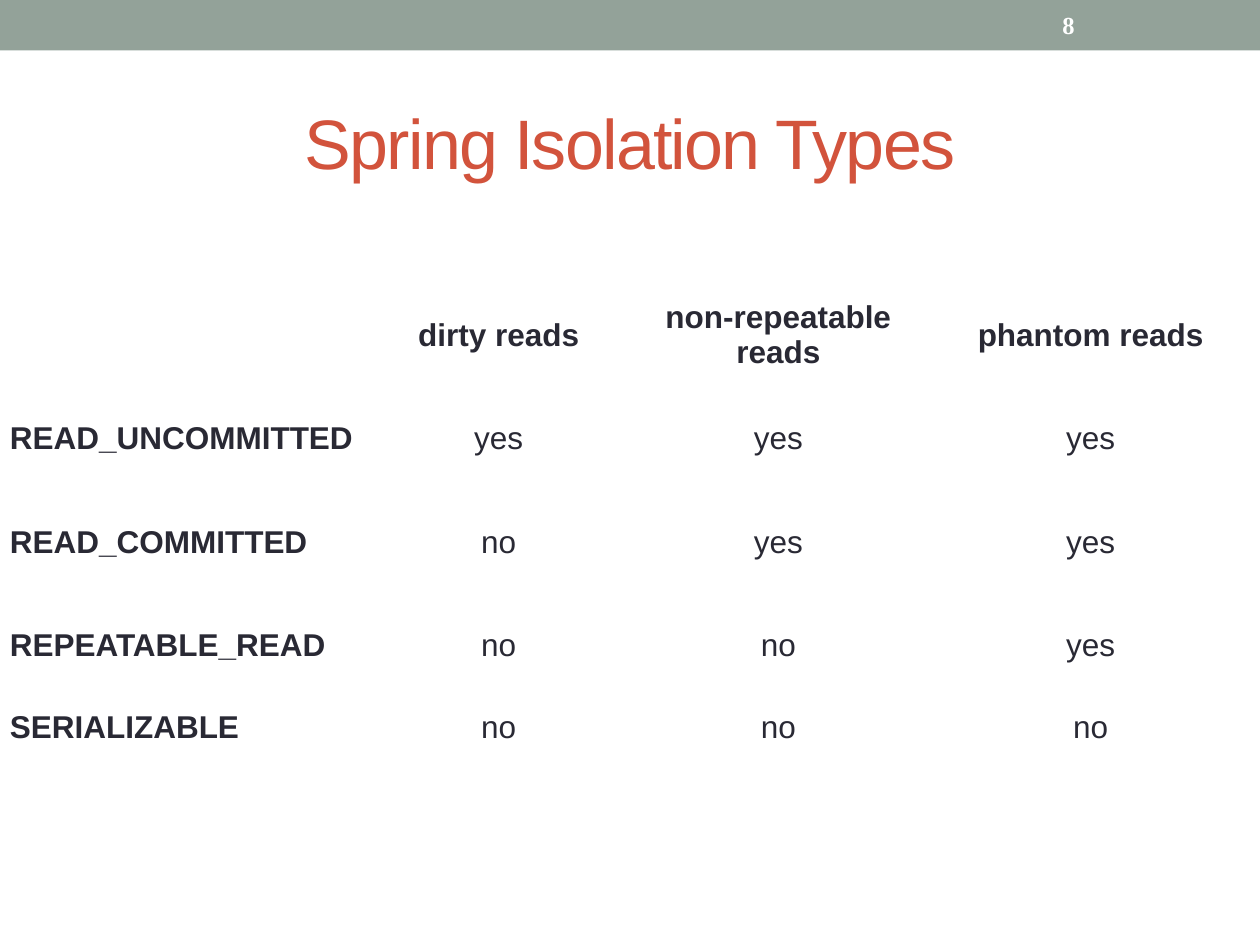
import pptx
import pptx.util
import pptx.dml.color
import pptx.enum.shapes
import pptx.enum.text

Pt = pptx.util.Pt
ALIGN = pptx.enum.text.PP_ALIGN
MIDDLE = pptx.enum.text.MSO_ANCHOR.MIDDLE

COLORS = {"band": "93A299", "title": "D2533C", "text": "292934", "number": "FFFFFF"}
TITLE = "Spring Isolation Types"
PAGE_NUMBER = "8"
ROWS = [
    ("", "dirty reads", "non-repeatable reads", "phantom reads"),
    ("READ_UNCOMMITTED", "yes", "yes", "yes"),
    ("READ_COMMITTED", "no", "yes", "yes"),
    ("REPEATABLE_READ", "no", "no", "yes"),
    ("SERIALIZABLE", "no", "no", "no"),
]
COL_WIDTHS = [216, 141, 178.5, 178.5]
ROW_HEIGHTS = [59.2] * 4 + [34]


def rgb(name):
    return pptx.dml.color.RGBColor.from_string(COLORS[name])


def write(tf, text, size, color, font="Arial", bold=False, align=ALIGN.LEFT):
    tf.word_wrap = True
    p = tf.paragraphs[0]
    p.text = text
    p.alignment = align
    p.font.name = font
    p.font.size = Pt(size)
    p.font.bold = bold
    p.font.color.rgb = rgb(color)
    return p


def add_band(s):
    sp = s.shapes.add_shape(pptx.enum.shapes.MSO_SHAPE.RECTANGLE, 0, 0, Pt(720), Pt(28.8))
    sp.shadow.inherit = False
    sp.fill.solid()
    sp.fill.fore_color.rgb = rgb("band")
    sp.line.fill.background()


def add_title(s):
    sp = s.shapes.title
    sp.left, sp.top, sp.width, sp.height = Pt(36), Pt(41.8), Pt(648), Pt(77.8)
    sp.text_frame.vertical_anchor = MIDDLE
    p = write(sp.text_frame, TITLE, 40, "title", align=ALIGN.CENTER)
    p.runs[0].font._element.set("spc", "-100")


def add_isolation_table(s):
    table = s.shapes.add_table(
        len(ROWS), len(COL_WIDTHS), Pt(-1.5), Pt(162),
        Pt(sum(COL_WIDTHS)), Pt(sum(ROW_HEIGHTS))).table
    table.first_row = table.horz_banding = False
    for column, width in zip(table.columns, COL_WIDTHS):
        column.width = Pt(width)
    for row, height, texts in zip(table.rows, ROW_HEIGHTS, ROWS):
        row.height = Pt(height)
        for c, (cell, text) in enumerate(zip(row.cells, texts)):
            cell.fill.background()
            cell.vertical_anchor = MIDDLE
            write(cell.text_frame, text, 18, "text",
                  bold=texts is ROWS[0] or c == 0,
                  align=ALIGN.CENTER if c else ALIGN.LEFT)


def add_page_number(s):
    tf = s.shapes.add_textbox(Pt(600), Pt(1.4), Pt(84), Pt(26)).text_frame
    tf.vertical_anchor = MIDDLE
    write(tf, PAGE_NUMBER, 14, "number", font="Times New Roman", bold=True)


def main():
    prs = pptx.Presentation()
    prs.slide_width, prs.slide_height = Pt(720), Pt(540)
    s = prs.slides.add_slide(prs.slide_layouts[5])
    add_band(s)
    add_title(s)
    add_isolation_table(s)
    add_page_number(s)
    prs.save("out.pptx")


if __name__ == "__main__":
    main()
